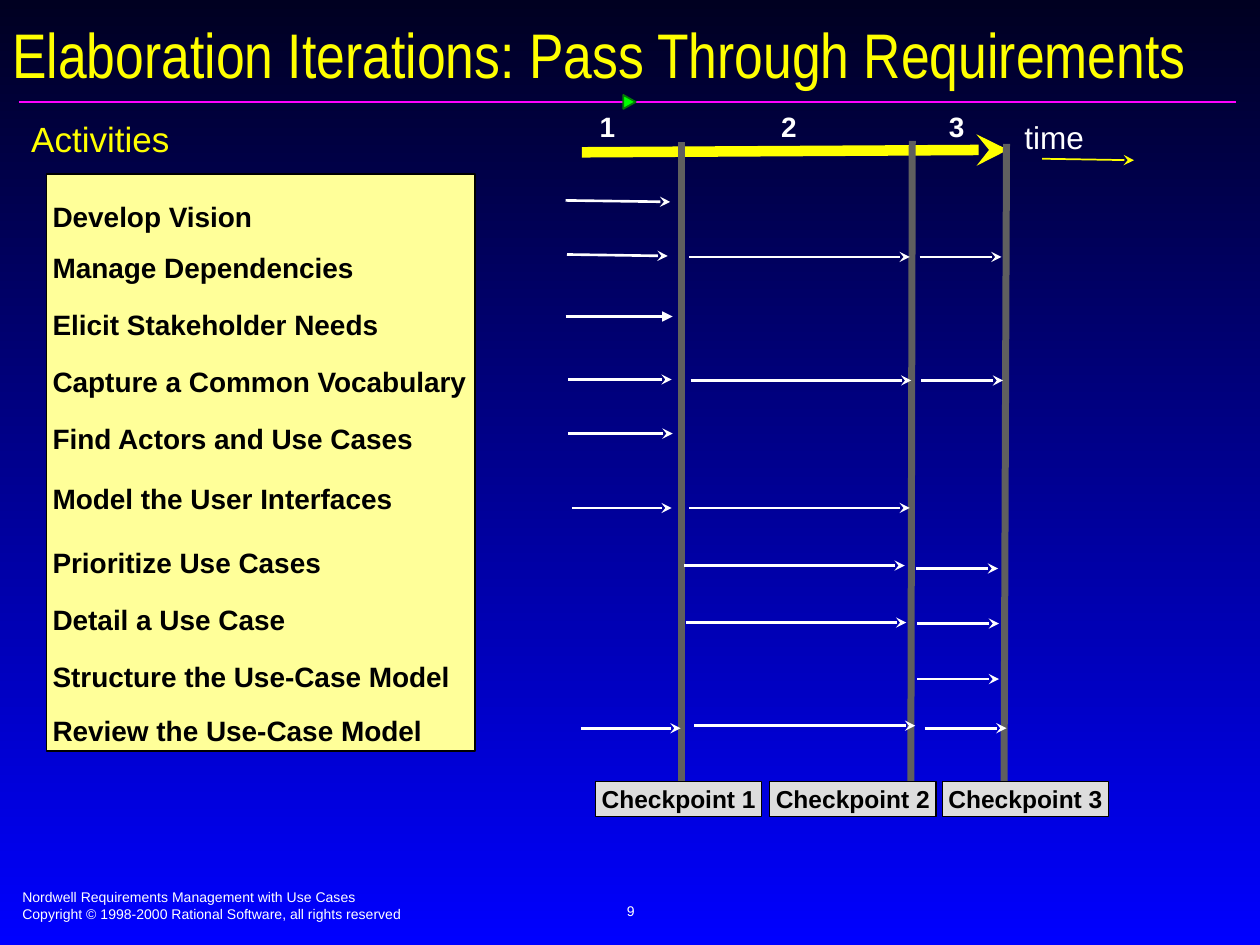
from dataclasses import dataclass

from lxml.etree import SubElement
from pptx import Presentation
from pptx.dml.color import RGBColor
from pptx.enum.shapes import MSO_CONNECTOR as Link, MSO_SHAPE as Form
from pptx.enum.text import MSO_ANCHOR as Anchor, MSO_AUTO_SIZE as Fit, PP_ALIGN as Align
from pptx.oxml.ns import qn
from pptx.util import Cm, Pt

WHITE, BLACK, GOLD = "FFFFFF", "000000", "FFFF00"


@dataclass
class Style:
    size: float
    color: str
    bold: bool = False
    font: str = "Arial"
    align: Align = Align.LEFT
    anchor: Anchor = Anchor.TOP
    wrap: bool = False
    pad: tuple = (0.15, 0.08)


@dataclass
class Step:
    left: float
    top: float
    width: float
    drop: float = 0
    head: str = "stealth"


@dataclass
class Task:
    name: str
    space: float
    steps: tuple


@dataclass
class Check:
    name: str
    left: float
    start: tuple
    end: tuple


def second(left: float, top: float) -> Step:
    return Step(left, top, 4.45)


def third(left: float, top: float) -> Step:
    return Step(left, top, 1.65)


TASKS = [
    Task("Develop Vision", 1.7, (Step(11.4, 4.04, 2.11, 0.03),)),
    Task("Manage Dependencies", 1.5,
         (Step(11.43, 5.13, 2.03, 0.03), second(13.89, 5.18), third(18.54, 5.18))),
    Task("Elicit Stakeholder Needs", 1.7, (Step(11.4, 6.38, 2.16, head="triangle"),)),
    Task("Capture a Common Vocabulary", 1.7,
         (Step(11.46, 7.65, 2.08), second(13.92, 7.67), third(18.57, 7.67))),
    Task("Find Actors and Use Cases", 1.7, (Step(11.46, 8.74, 2.1),)),
    Task("Model the User Interfaces", 1.8, (Step(11.53, 10.24, 2.01), second(13.89, 10.24))),
    Task("Prioritize Use Cases", 1.9, (second(13.79, 11.4), third(18.47, 11.46))),
    Task("Detail a Use Case", 1.7, (second(13.82, 12.55), third(18.49, 12.57))),
    Task("Structure the Use-Case Model", 1.7, (third(18.49, 13.69),)),
    Task("Review the Use-Case Model", 1.6,
         (Step(11.71, 14.68, 2.01), second(14, 14.63), third(18.64, 14.68))),
]
CHECKS = [
    Check("Checkpoint 1", 12.01, (13.74, 2.87), (13.74, 15.82)),
    Check("Checkpoint 2", 15.52, (18.39, 2.84), (18.36, 16.1)),
    Check("Checkpoint 3", 19, (20.29, 2.9), (20.24, 16)),
]


def paint(color: str) -> RGBColor:
    return RGBColor.from_string(color)


def write(shape, text: str, style: Style) -> None:
    frame = shape.text_frame
    frame.text = text
    frame.word_wrap = style.wrap
    frame.auto_size = Fit.NONE if style.wrap else Fit.SHAPE_TO_FIT_TEXT
    frame.vertical_anchor = style.anchor
    frame.margin_left = frame.margin_right = Cm(style.pad[0])
    frame.margin_top = frame.margin_bottom = Cm(style.pad[1])
    for para in frame.paragraphs:
        para.alignment = style.align
        for run in para.runs:
            run.font.name = style.font
            run.font.size = Pt(style.size)
            run.font.bold = style.bold
            run.font.color.rgb = paint(style.color)


def label(slide, area: tuple, text: str, style: Style):
    shape = slide.shapes.add_textbox(*map(Cm, area))
    write(shape, text, style)
    return shape.text_frame.paragraphs[0]


def block(slide, form: Form, area: tuple, fill: str, edge: str, width: float):
    shape = slide.shapes.add_shape(form, *map(Cm, area))
    shape.shadow.inherit = False
    shape.fill.solid()
    shape.fill.fore_color.rgb = paint(fill)
    shape.line.color.rgb = paint(edge)
    shape.line.width = Pt(width)
    return shape


def line(slide, start: tuple, end: tuple, color: str, width: float, head: str = "") -> None:
    link = slide.shapes.add_connector(Link.STRAIGHT, *map(Cm, start + end))
    link.line.color.rgb = paint(color)
    link.line.width = Pt(width)
    if head:
        SubElement(link.line._get_or_add_ln(), qn("a:tailEnd"), type=head)
    SubElement(link._element.spPr, qn("a:effectLst"))


def add_tabs(para, stops: tuple) -> None:
    tabs = SubElement(para._p.get_or_add_pPr(), qn("a:tabLst"))
    for stop in stops:
        SubElement(tabs, qn("a:tab"), pos=str(Cm(stop)), algn="l")


def draw_frame(slide) -> None:
    fill = slide.background.fill
    fill.gradient()
    fill.gradient_angle = 270
    for stop, place, color in zip(fill.gradient_stops, (0, 1), ("000021", "0000FF")):
        stop.position = place
        stop.color.rgb = paint(color)
    label(slide, (0.2, 17.78, 12.95, 0.94),
          "Nordwell Requirements Management with Use Cases\n"
          "Copyright © 1998-2000 Rational Software, all rights reserved",
          Style(8, WHITE, wrap=True, pad=(0.25, 0.13)))
    label(slide, (8.69, 17.73, 8.05, 1.27), "9",
          Style(8, WHITE, align=Align.CENTER, anchor=Anchor.MIDDLE, wrap=True))
    line(slide, (0.38, 2.06), (24.92, 2.06), "FF01FF", 1)
    mark = block(slide, Form.ISOSCELES_TRIANGLE, (12.55, 1.93, 0.28, 0.25), "00FF00", "037C03", 1)
    mark.rotation = 90
    label(slide, (0.25, 0.36, 24.99, 1.47), "Elaboration Iterations: Pass Through Requirements",
          Style(36, GOLD, font="Arial Narrow", anchor=Anchor.BOTTOM, wrap=True, pad=(0, 0)))


def draw_tasks(slide) -> None:
    card = block(slide, Form.RECTANGLE, (0.94, 3.51, 8.64, 11.63), "FFFF99", BLACK, 1)
    write(card, "\n".join(task.name for task in TASKS), Style(16, BLACK, True, pad=(0.12, 0.05)))
    for para, task in zip(card.text_frame.paragraphs, TASKS):
        para.line_spacing = task.space
    title = label(slide, (0.48, 2.46, 4.04, 0.84), "Activities", Style(20, GOLD))
    title.line_spacing = 0.8


def draw_time(slide) -> None:
    line(slide, (11.73, 3.07), (20.32, 3.02), GOLD, 6, "stealth")
    for check in CHECKS:
        line(slide, check.start, check.end, "5F5F5F", 4)
        box = block(slide, Form.RECTANGLE, (check.left, 15.75, 3.35, 0.71), "DDDDDD", BLACK, 0.75)
        write(box, check.name, Style(14, BLACK, True, align=Align.CENTER, pad=(0.03, 0.05)))
    count = label(slide, (11.94, 2.26, 7.67, 0.71), "1\t2\t3", Style(16, WHITE, True))
    count.line_spacing = 0.8
    add_tabs(count, (3.66, 7.04))
    line(slide, (21.01, 3.2), (22.86, 3.23), GOLD, 1, "stealth")
    time = label(slide, (20.5, 2.44, 2.46, 0.76), "time", Style(18, WHITE))
    time.line_spacing = 0.8
    for task in TASKS:
        for step in task.steps:
            end = (step.left + step.width, step.top + step.drop)
            line(slide, (step.left, step.top), end, WHITE, 1.5, step.head)


def main() -> None:
    deck = Presentation()
    deck.slide_width, deck.slide_height = Cm(25.4), Cm(19.05)
    slide = deck.slides.add_slide(deck.slide_layouts[6])
    draw_frame(slide)
    draw_tasks(slide)
    draw_time(slide)
    deck.save("out.pptx")


if __name__ == "__main__":
    main()
